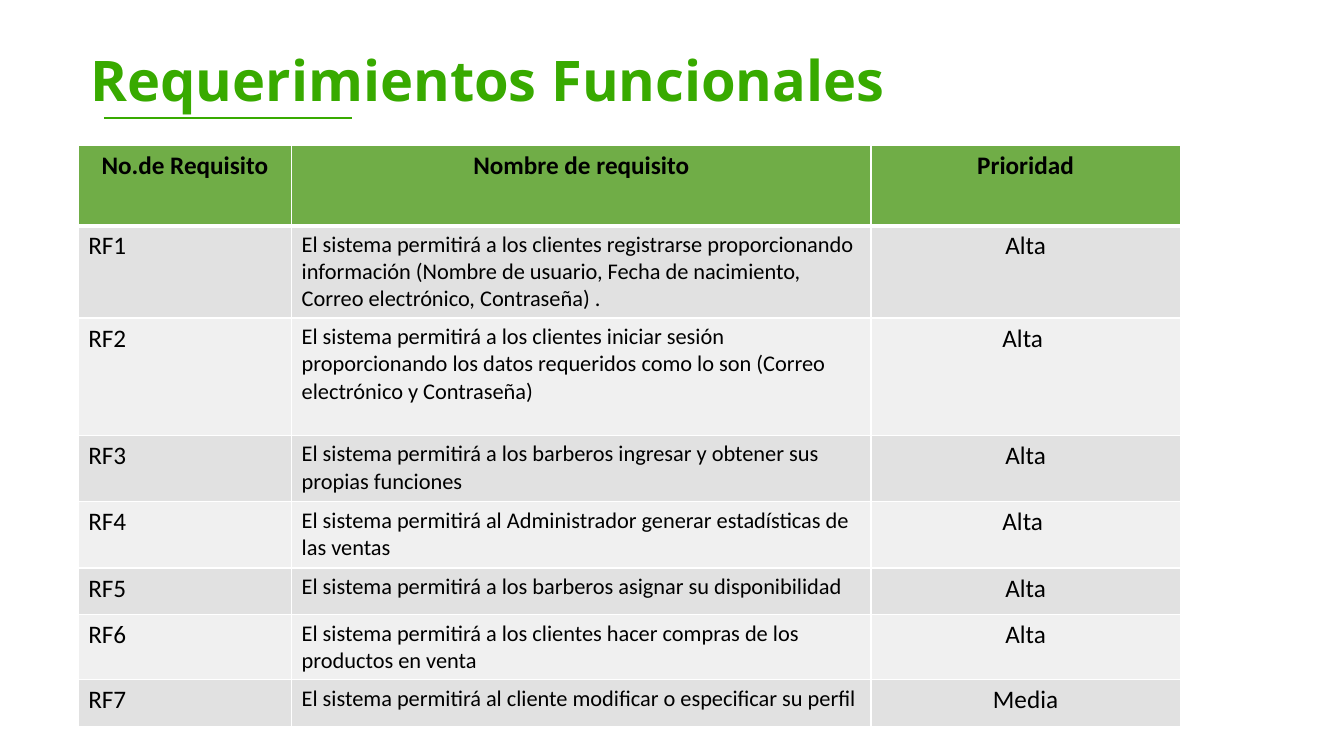
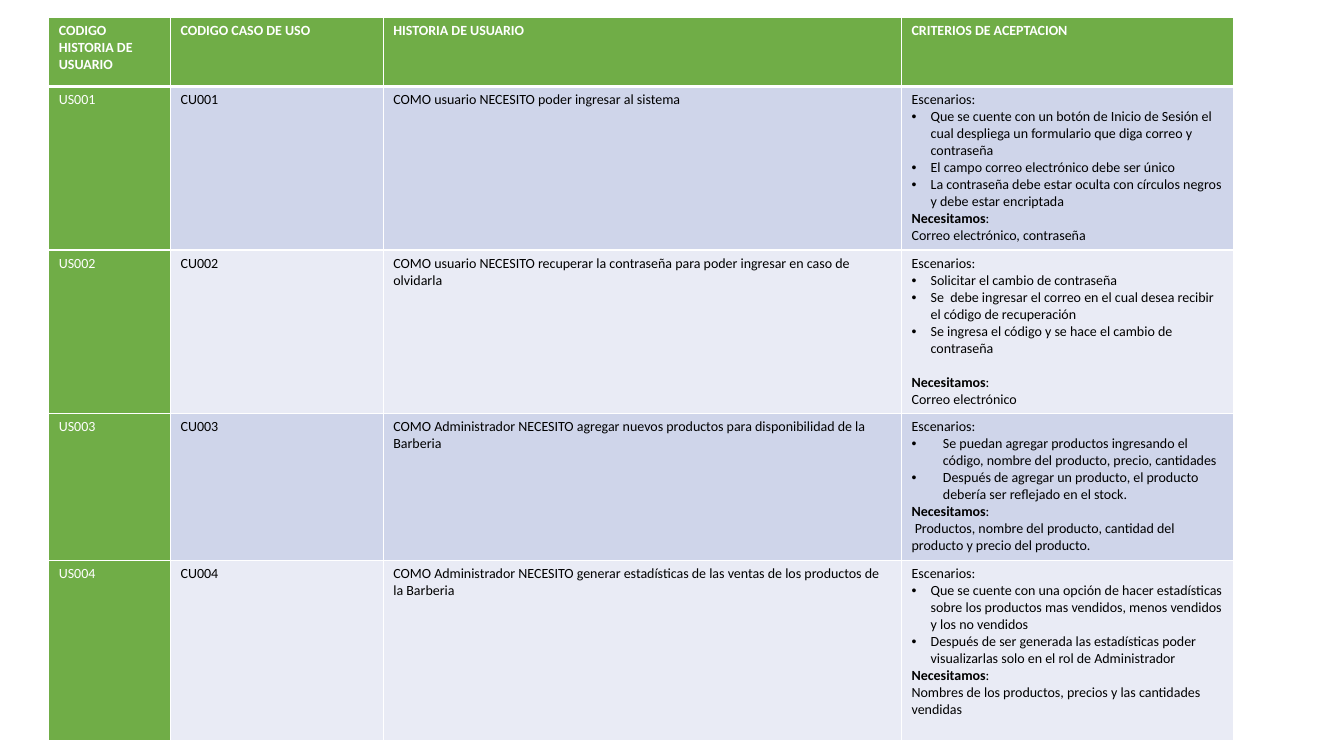
"""Build two slides with the functional requirements and user stories of a barbershop system."""
from dataclasses import dataclass

from lxml.etree import SubElement
from pptx import Presentation
from pptx.dml.color import RGBColor
from pptx.enum.shapes import MSO_CONNECTOR
from pptx.enum.text import MSO_ANCHOR, MSO_AUTO_SIZE, PP_ALIGN
from pptx.oxml.ns import qn
from pptx.slide import Slide
from pptx.table import _Cell
from pptx.text.text import _Paragraph
from pptx.util import Cm, Pt

COLORS = {
    "title": "38AA00",
    "header": "70AD47",
    "white": "FFFFFF",
    "black": "000000",
    "gray_dark": "E1E1E1",
    "gray_light": "F0F0F0",
    "blue_dark": "CFD5EA",
    "blue_light": "E9EBF5",
}
TITLE_FONT = "Noto Sans"
BODY_FONT = "Calibri"


@dataclass(frozen=True)
class Run:
    text: str
    bold: bool = False


@dataclass(frozen=True)
class Para:
    runs: tuple[Run, ...]
    indent: float = 0
    gap: float = 0


@dataclass(frozen=True)
class Style:
    size: float
    color: str = "black"
    align: PP_ALIGN = PP_ALIGN.LEFT


@dataclass(frozen=True)
class Grid:
    left: float
    top: float
    widths: tuple[float, ...]
    heights: tuple[float, ...]
    header: Style
    columns: tuple[Style, ...]
    bands: tuple[str, str]
    header_column: bool = False


@dataclass(frozen=True)
class Story:
    text: str
    scenarios: tuple[str, ...]
    needs: str
    indent: float = 0.48
    gap: float = 0

    def criteria(self) -> list[Para]:
        return [
            plain("Escenarios:"),
            *(Para((Run(item),), indent=self.indent) for item in self.scenarios),
            Para((Run("Necesitamos", bold=True), Run(":")), gap=self.gap),
            plain(self.needs),
        ]


REQUIREMENTS_GRID = Grid(
    1.97, 3.66, (5.38, 14.6, 7.79),
    (2.03, 2.3, 2.96, 1.67, 1.67, 1.18, 1.62, 1.17),
    Style(18, align=PP_ALIGN.CENTER),
    (Style(18), Style(16), Style(18, align=PP_ALIGN.CENTER)),
    ("gray_dark", "gray_light"),
)
STORIES_GRID = Grid(
    1.23, 0.43, (3.07, 5.36, 13.06, 8.38),
    (1.75, 4.12, 4.12, 3.7, 4.53),
    Style(10, "white"),
    (Style(10, "white"), Style(10), Style(10), Style(10)),
    ("blue_dark", "blue_light"),
    header_column=True,
)
REQUIREMENTS = (
    ("El sistema permitirá a los clientes registrarse proporcionando información "
     "(Nombre de usuario, Fecha de nacimiento, Correo electrónico, Contraseña) .", "Alta"),
    ("El sistema permitirá a los clientes iniciar sesión proporcionando los datos "
     "requeridos como lo son (Correo electrónico y Contraseña)", "Alta "),
    ("El sistema permitirá a los barberos ingresar y obtener sus propias funciones", "Alta"),
    ("El sistema permitirá al Administrador generar estadísticas de las ventas", "Alta "),
    ("El sistema permitirá a los barberos asignar su disponibilidad", "Alta"),
    ("El sistema permitirá a los clientes hacer compras de los productos en venta", "Alta"),
    ("El sistema permitirá al cliente modificar o especificar su perfil", "Media"),
)
STORIES = (
    Story(
        "COMO usuario NECESITO poder ingresar al sistema",
        ("Que se cuente con un botón de Inicio de Sesión el cual despliega un "
         "formulario que diga correo y contraseña",
         "El campo correo electrónico debe ser único",
         "La contraseña debe estar oculta con círculos negros y debe estar encriptada"),
        "Correo electrónico, contraseña",
    ),
    Story(
        "COMO usuario NECESITO recuperar la contraseña para poder ingresar en caso de olvidarla",
        ("Solicitar el cambio de contraseña",
         "Se  debe ingresar el correo en el cual desea recibir el código de recuperación",
         "Se ingresa el código y se hace el cambio de contraseña"),
        "Correo electrónico",
        gap=12.2,
    ),
    Story(
        "COMO Administrador NECESITO agregar nuevos productos para disponibilidad de la Barberia",
        ("Se puedan agregar productos ingresando el código, nombre del producto, "
         "precio, cantidades",
         "Después de agregar un producto, el producto debería ser reflejado en el stock."),
        " Productos, nombre del producto, cantidad del producto y precio del producto.",
        indent=0.79,
    ),
    Story(
        "COMO Administrador NECESITO generar estadísticas de las ventas de los productos "
        "de la Barberia",
        ("Que se cuente con una opción de hacer estadísticas sobre los productos mas "
         "vendidos, menos vendidos y los no vendidos",
         "Después de ser generada las estadísticas poder visualizarlas solo en el rol "
         "de Administrador"),
        "Nombres de los productos, precios y las cantidades vendidas",
    ),
)


def rgb(name: str) -> RGBColor:
    return RGBColor.from_string(COLORS[name])


def plain(text: str, bold: bool = False) -> Para:
    return Para((Run(text, bold),))


def add_run(p: _Paragraph, run: Run, font: str, size: float, color: str) -> None:
    r = p.add_run()
    r.text = run.text
    r.font.name = font
    r.font.size = Pt(size)
    r.font.bold = run.bold
    r.font.color.rgb = rgb(color)


def set_borders(cell: _Cell, top: float, bottom: float) -> None:
    tc_pr = cell._tc.get_or_add_tcPr()
    for tag, width in (("a:lnL", 1), ("a:lnR", 1), ("a:lnT", top), ("a:lnB", bottom)):
        ln = SubElement(tc_pr, qn(tag), w=str(Pt(width)))
        fill = SubElement(ln, qn("a:solidFill"))
        SubElement(fill, qn("a:srgbClr"), val=COLORS["white"])


def set_bullet(p: _Paragraph, indent: float) -> None:
    p_pr = p._p.get_or_add_pPr()
    p_pr.set("marL", str(Cm(indent)))
    p_pr.set("indent", str(-Cm(indent)))
    SubElement(p_pr, qn("a:buFont"), typeface="Arial")
    SubElement(p_pr, qn("a:buChar"), char="•")


def fill_cell(cell: _Cell, paras: list[Para], style: Style, fill: str) -> None:
    cell.fill.solid()
    cell.fill.fore_color.rgb = rgb(fill)
    tf = cell.text_frame
    for i, para in enumerate(paras):
        p = tf.add_paragraph() if i else tf.paragraphs[0]
        p.alignment = style.align
        if para.gap:
            p.space_before = Pt(para.gap)
        if para.indent:
            set_bullet(p, para.indent)
        for run in para.runs:
            add_run(p, run, BODY_FONT, style.size, style.color)


def add_grid(s: Slide, grid: Grid, headers: tuple[str, ...], rows: list[list[list[Para]]]) -> None:
    body = [[[plain(text, bold=True)] for text in headers], *rows]
    table = s.shapes.add_table(
        len(body), len(headers), Cm(grid.left), Cm(grid.top),
        Cm(sum(grid.widths)), Cm(sum(grid.heights)),
    ).table
    table.horz_banding = False
    table.first_col = grid.header_column
    for column, width in zip(table.columns, grid.widths):
        column.width = Cm(width)
    for i, (row, height, contents) in enumerate(zip(table.rows, grid.heights, body)):
        row.height = Cm(height)
        for j, paras in enumerate(contents):
            cell = table.cell(i, j)
            set_borders(cell, top=3 if i == 1 else 1, bottom=3 if i == 0 else 1)
            is_header = i == 0 or (grid.header_column and j == 0)
            fill = "header" if is_header else grid.bands[(i - 1) % 2]
            fill_cell(cell, paras, grid.columns[j] if i else grid.header, fill)


def add_title(s: Slide, text: str) -> None:
    sp = s.shapes.title
    sp.left, sp.top, sp.width, sp.height = Cm(2.03), Cm(0.92), Cm(28.5), Cm(2.13)
    tf = sp.text_frame
    tf.auto_size = MSO_AUTO_SIZE.NONE
    tf.vertical_anchor = MSO_ANCHOR.MIDDLE
    p = tf.paragraphs[0]
    p.alignment = PP_ALIGN.LEFT
    add_run(p, Run(text, bold=True), TITLE_FONT, 40, "title")
    rule = s.shapes.add_connector(MSO_CONNECTOR.STRAIGHT, Cm(2.62), Cm(2.97), Cm(8.86), Cm(2.97))
    rule.line.color.rgb = rgb("title")
    rule.line.width = Pt(1)
    SubElement(rule._element.spPr, qn("a:effectLst"))


def add_requirements(prs: Presentation) -> None:
    s = prs.slides.add_slide(prs.slide_layouts.get_by_name("Title Only"))
    add_title(s, "Requerimientos Funcionales")
    rows = [
        [[plain(f"RF{n}")], [plain(text)], [plain(priority)]]
        for n, (text, priority) in enumerate(REQUIREMENTS, 1)
    ]
    add_grid(s, REQUIREMENTS_GRID, ("No.de Requisito", "Nombre de requisito", "Prioridad"), rows)


def add_stories(prs: Presentation) -> None:
    s = prs.slides.add_slide(prs.slide_layouts.get_by_name("Blank"))
    headers = ("CODIGO HISTORIA DE USUARIO", "CODIGO CASO DE USO",
               "HISTORIA DE USUARIO", "CRITERIOS DE ACEPTACION")
    rows = [
        [[plain(f"US{n:03}")], [plain(f"CU{n:03}")], [plain(story.text)], story.criteria()]
        for n, story in enumerate(STORIES, 1)
    ]
    add_grid(s, STORIES_GRID, headers, rows)


def main() -> None:
    prs = Presentation()
    prs.slide_width, prs.slide_height = Cm(33.87), Cm(19.05)
    add_requirements(prs)
    add_stories(prs)
    prs.save("out.pptx")


if __name__ == "__main__":
    main()
